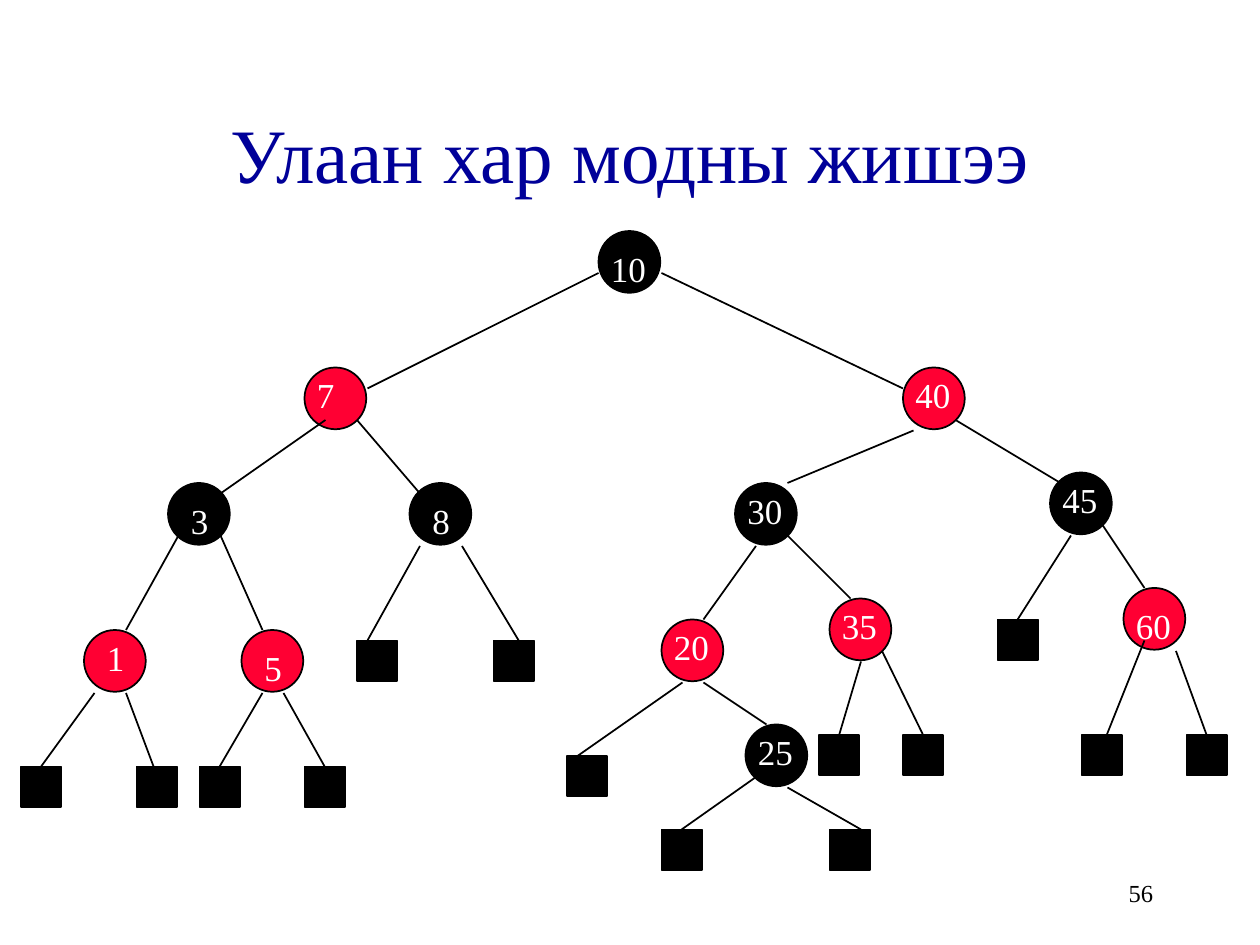
from dataclasses import dataclass

from lxml import etree
from pptx import Presentation
from pptx import util as u
from pptx.dml.color import RGBColor
from pptx.enum import shapes, text
from pptx.oxml import ns

COLUMNS, ROWS = 120, 90
NODE_CELLS, LEAF_CELLS = 5.88, 3.84
LABEL_CELLS = (6, 5.16)
LEAF_MIDDLE = 2
FONT = "Times New Roman"

BLACK = RGBColor(0x00, 0x00, 0x00)
RED = RGBColor(0xFF, 0x00, 0x33)
WHITE = RGBColor(0xFF, 0xFF, 0xFF)
NAVY = RGBColor(0x00, 0x00, 0x99)

deck = Presentation()
deck.slide_width, deck.slide_height = u.Inches(10), u.Inches(7.5)
page = deck.slides.add_slide(deck.slide_layouts[6])


@dataclass(frozen=True)
class Node:
    key: str
    column: int
    row: int
    color: RGBColor
    label_shift: tuple[int, int] = (0, 0)


@dataclass(frozen=True)
class Leaf:
    column: int
    row: int


@dataclass(frozen=True)
class Edge:
    start: tuple[int, int]
    end: tuple[int, int]


NODES = [
    Node("10", 57, 22, BLACK, (0, 1)),
    Node("7", 29, 35, RED),
    Node("40", 86, 35, RED),
    Node("3", 16, 46, BLACK, (1, 1)),
    Node("8", 39, 46, BLACK, (1, 1)),
    Node("30", 70, 46, BLACK),
    Node("45", 100, 45, BLACK),
    Node("1", 8, 60, RED, (1, 0)),
    Node("5", 23, 60, RED, (1, 1)),
    Node("20", 63, 59, RED),
    Node("35", 79, 57, RED),
    Node("60", 107, 56, RED, (0, 1)),
    Node("25", 71, 69, BLACK),
]

LEAVES = [
    Leaf(2, 73), Leaf(13, 73), Leaf(19, 73), Leaf(29, 73),
    Leaf(34, 61), Leaf(47, 61),
    Leaf(54, 72), Leaf(63, 79), Leaf(79, 79),
    Leaf(78, 70), Leaf(86, 70),
    Leaf(95, 59), Leaf(103, 70), Leaf(113, 70),
]

EDGES = [
    Edge((57, 26), (35, 37)), Edge((63, 26), (86, 37)),
    Edge((31, 40), (21, 47)), Edge((34, 40), (40, 47)),
    Edge((87, 41), (75, 46)), Edge((91, 40), (101, 46)),
    Edge((17, 51), (12, 60)), Edge((21, 51), (25, 60)),
    Edge((40, 52), (35, 61)), Edge((44, 52), (50, 62)),
    Edge((72, 52), (67, 59)), Edge((75, 51), (81, 57)),
    Edge((102, 51), (97, 59)), Edge((105, 50), (109, 56)),
    Edge((9, 66), (4, 73)), Edge((12, 66), (15, 74)),
    Edge((25, 66), (21, 73)), Edge((27, 66), (31, 73)),
    Edge((65, 65), (55, 72)), Edge((67, 65), (73, 69)),
    Edge((82, 63), (80, 70)), Edge((84, 62), (88, 70)),
    Edge((109, 61), (105, 71)), Edge((112, 62), (115, 70)),
    Edge((72, 74), (65, 79)), Edge((75, 75), (82, 79)),
]


def across(columns: float) -> int:
    return round(deck.slide_width * columns / COLUMNS)


def down(rows: float) -> int:
    return round(deck.slide_height * rows / ROWS)


def draw_shape(kind, column: float, row: float, cells: float, color: RGBColor):
    shape = page.shapes.add_shape(
        kind, across(column), down(row), across(cells), down(cells))
    shape.shadow.inherit = False
    shape.fill.solid()
    shape.fill.fore_color.rgb = color
    shape.line.color.rgb = BLACK
    shape.line.width = u.Pt(1)
    return shape


def draw_text(words: str, column: float, row: float, columns: float, rows: float,
              size: float, color: RGBColor, align=text.PP_ALIGN.LEFT,
              anchor=text.MSO_ANCHOR.TOP):
    box = page.shapes.add_textbox(
        across(column), down(row), across(columns), down(rows))
    frame = box.text_frame
    frame.word_wrap = True
    frame.vertical_anchor = anchor
    para = frame.paragraphs[0]
    para.text = words
    para.alignment = align
    para.font.name = FONT
    para.font.size = u.Pt(size)
    para.font.color.rgb = color
    return box


def draw_edge(edge: Edge, leaf_tops: dict) -> None:
    line = page.shapes.add_connector(
        shapes.MSO_CONNECTOR.STRAIGHT,
        across(edge.start[0]), down(edge.start[1]),
        across(edge.end[0]), down(edge.end[1]))
    line.line.color.rgb = BLACK
    line.line.width = u.Pt(1)
    etree.SubElement(line._element.spPr, ns.qn("a:effectLst"))
    if edge.end in leaf_tops:
        line.end_connect(leaf_tops[edge.end], 0)


def draw_label(node: Node) -> None:
    shift_across, shift_down = node.label_shift
    box = draw_text(node.key, node.column + shift_across, node.row + shift_down,
                    *LABEL_CELLS, 20, WHITE)
    box.text_frame.auto_size = text.MSO_AUTO_SIZE.SHAPE_TO_FIT_TEXT


def main() -> None:
    draw_text("Улаан хар модны жишээ", 9, 7, 102, 15, 44, NAVY,
              text.PP_ALIGN.CENTER, text.MSO_ANCHOR.MIDDLE)
    for node in NODES:
        draw_shape(shapes.MSO_SHAPE.OVAL, node.column, node.row, NODE_CELLS, node.color)
    leaf_tops = {
        (leaf.column + LEAF_MIDDLE, leaf.row): draw_shape(
            shapes.MSO_SHAPE.RECTANGLE, leaf.column, leaf.row, LEAF_CELLS, BLACK)
        for leaf in LEAVES
    }
    for edge in EDGES:
        draw_edge(edge, leaf_tops)
    for node in NODES:
        draw_label(node)
    draw_text("56", 86, 82, 25, 6, 14, BLACK,
              text.PP_ALIGN.RIGHT, text.MSO_ANCHOR.MIDDLE)
    deck.save("out.pptx")


if __name__ == "__main__":
    main()
